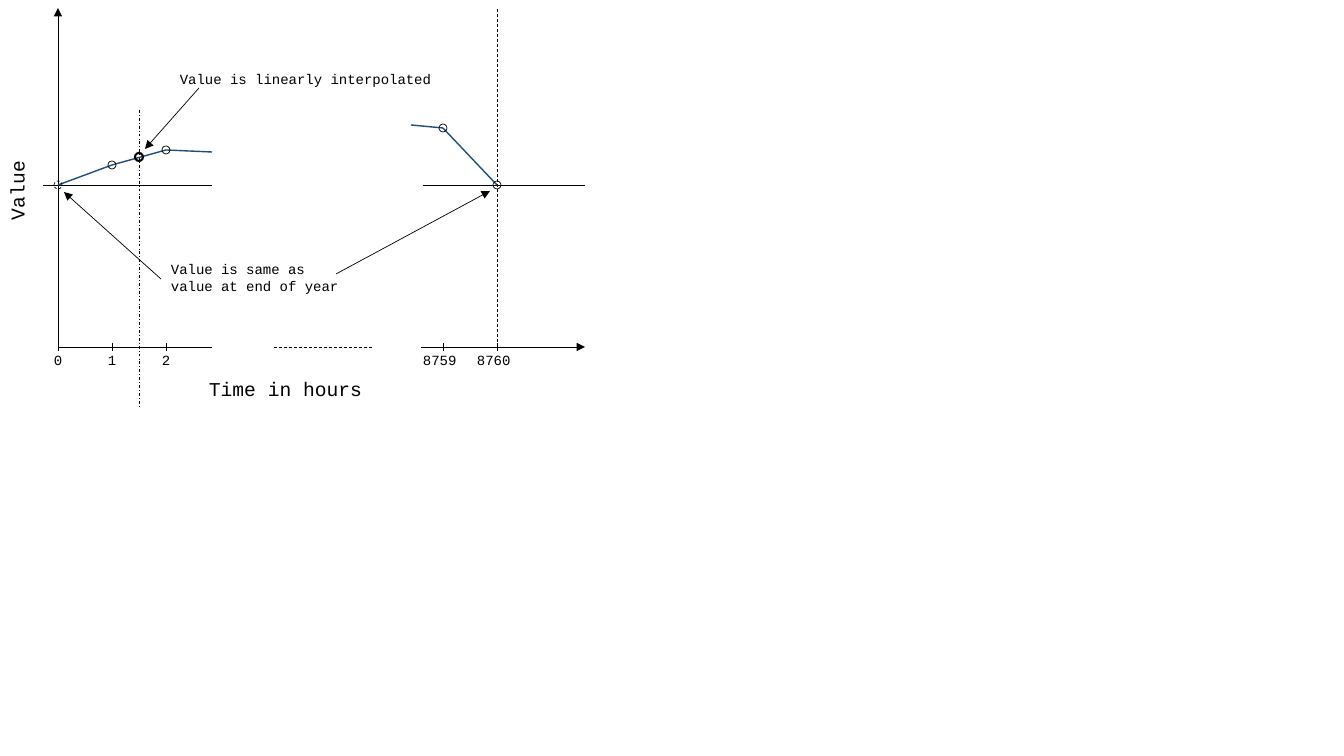
from dataclasses import dataclass
from lxml import etree
from pptx import Presentation
from pptx.dml.color import RGBColor
from pptx.enum.dml import MSO_LINE
from pptx.enum.shapes import MSO_CONNECTOR, MSO_SHAPE
from pptx.enum.text import MSO_AUTO_SIZE
from pptx.oxml.ns import qn
from pptx.util import Pt

STRAIGHT = MSO_CONNECTOR.STRAIGHT
OVAL = MSO_SHAPE.OVAL
DASH = MSO_LINE.DASH
DASHDOT = MSO_LINE.DASH_DOT
GROW = MSO_AUTO_SIZE.SHAPE_TO_FIT_TEXT
SCALE = 914400 / 100.8


@dataclass(frozen=True)
class Theme:
    """Colours, font, type sizes and line widths."""
    ink: RGBColor = RGBColor(0, 0, 0)
    curve: RGBColor = RGBColor(0x1F, 0x4E, 0x79)
    font: str = "Courier New"
    label: int = 10
    title: int = 14
    thin: float = 0.5
    mid: float = 1
    bold: float = 1.5


def emu(*pixels):
    """Turn pixels into EMU."""
    return [round(p * SCALE) for p in pixels]


class Pen:
    """Draws elements on one slide in one style."""

    def __init__(self, slide, theme):
        """Keep the slide and the style."""
        self.shapes = slide.shapes
        self.theme = theme

    def stroke(self, line, color=None, width=None, dash=None):
        """Format an outline."""
        line.color.rgb = color or self.theme.ink
        line.width = Pt(width or self.theme.thin)
        if dash:
            line.dash_style = dash

    def line(self, start, end, arrow=False, **style):
        """Draw a line or an arrow."""
        link = self.shapes.add_connector(STRAIGHT, *emu(*start, *end))
        self.stroke(link.line, **style)
        if arrow:
            tip = etree.SubElement(link.line._get_or_add_ln(), qn("a:tailEnd"))
            tip.set("type", "triangle")
        etree.SubElement(link._element.spPr, qn("a:effectLst"))

    def curve(self, points):
        """Join points with curve segments."""
        for start, end in zip(points, points[1:]):
            self.line(start, end, color=self.theme.curve, width=self.theme.mid)

    def ring(self, center, **style):
        """Draw a hollow marker around a point."""
        x, y = center
        ring = self.shapes.add_shape(OVAL, *emu(x - 4, y - 4, 8, 8))
        ring.shadow.inherit = False
        ring.fill.background()
        self.stroke(ring.line, **style)

    def text(self, lines, box, size, turn=0):
        """Place a text box, one run a line."""
        item = self.shapes.add_textbox(*emu(*box))
        item.rotation = turn
        frame = item.text_frame
        frame.word_wrap = False
        frame.auto_size = GROW
        para = frame.paragraphs[0]
        for i, words in enumerate(lines):
            if i:
                para.add_line_break()
            run = para.add_run()
            run.text = words
            run.font.name = self.theme.font
            run.font.size = Pt(size)
            run.font.color.rgb = self.theme.ink


def main():
    """Build the slide."""
    deck = Presentation()
    deck.slide_width, deck.slide_height = emu(1344, 756)
    theme = Theme()
    pen = Pen(deck.slides.add_slide(deck.slide_layouts[6]), theme)

    base, zero, top = 347, 185, 8
    left, step, last = 58, 54, 497
    begin = [(left, zero), (left + step, 165), (left + 2 * step, 150), (212, 152)]
    finish = [(411, 125), (last - step, 128), (last, zero)]
    ticks = {"0": left, "1": left + step, "2": left + 2 * step,
             "8759": last - step, "8760": last}

    pen.line((left, base), (left, top), arrow=True)
    pen.line((left, base), (212, base))
    pen.line((274, base), (373, base), dash=DASH)
    pen.line((421, base), (585, base), arrow=True)
    pen.line((43, zero), (212, zero))
    pen.line((423, zero), (585, zero))
    pen.line((last, base), (last, top), dash=DASH)
    pen.line((139, 110), (139, 406), dash=DASHDOT)

    for name, x in ticks.items():
        pen.line((x, base - 4), (x, base + 4))
        shift, width = (14, 29) if len(name) == 1 else (30, 54)
        pen.text([name], (x - shift, base, width, 27), theme.label)

    pen.curve(begin)
    pen.curve(finish)
    pen.ring(begin[0], dash=DASH)
    for point in begin[1:3] + finish[1:]:
        pen.ring(point)
    pen.ring((139, 157), width=theme.bold)

    pen.text(["Value"], (-23, 173, 80, 34), theme.title, turn=270)
    pen.text(["Time in hours"], (199, 372, 174, 34), theme.title)
    pen.text(["Value is linearly interpolated"], (170, 66, 285, 28), theme.label)
    pen.text(["Value is same as ", "value at end of year"],
             (161, 256, 198, 45), theme.label)

    pen.line((199, 88), (145, 149), arrow=True)
    pen.line((161, 279), (64, 192), arrow=True)
    pen.line((336, 274), (490, 191), arrow=True)
    deck.save("out.pptx")


main()
